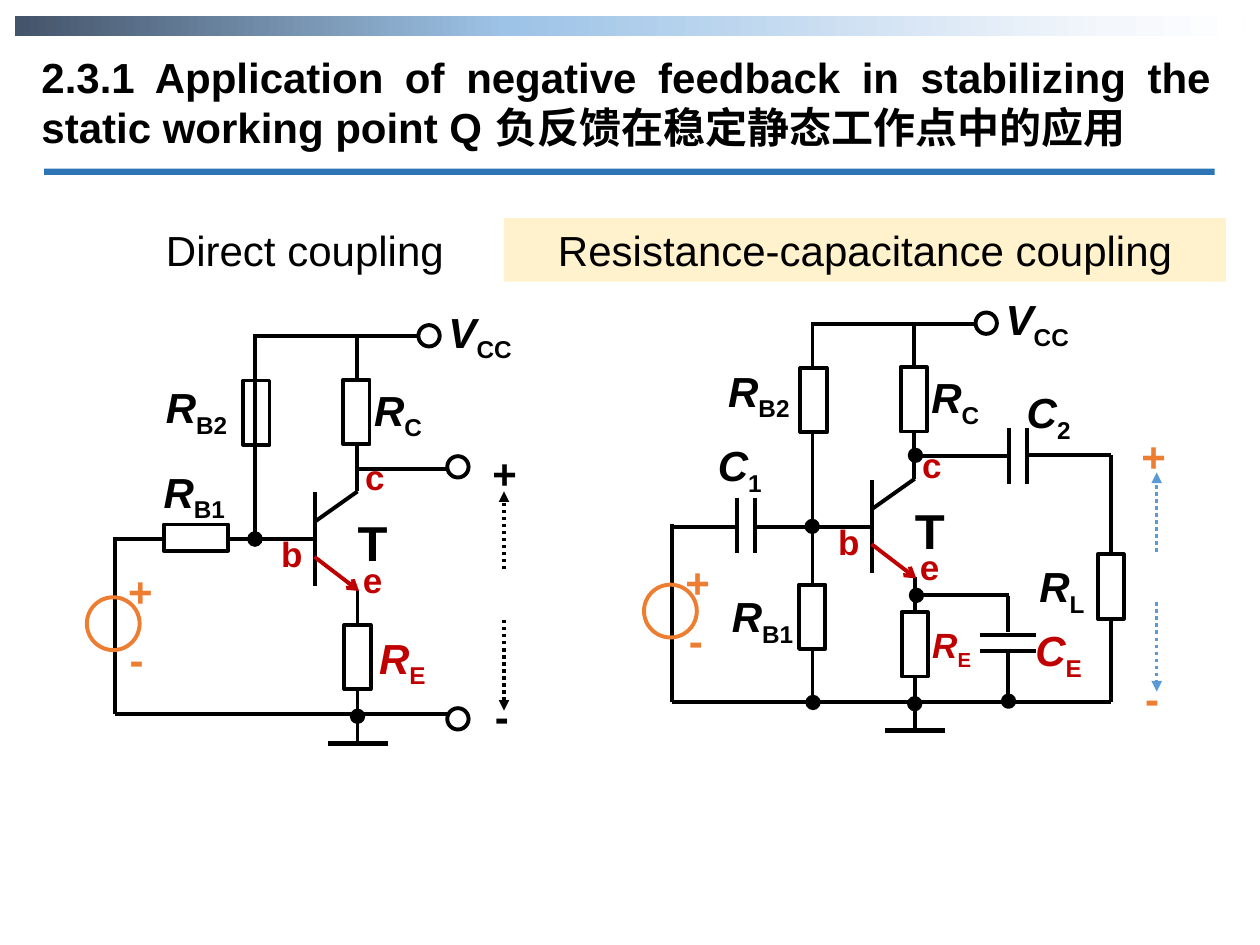
from copy import deepcopy

from lxml.etree import SubElement
from pptx import Presentation
from pptx.dml.color import RGBColor
from pptx.enum.dml import MSO_LINE
from pptx.enum.shapes import MSO_CONNECTOR, MSO_SHAPE
from pptx.enum.text import MSO_ANCHOR, MSO_AUTO_SIZE, PP_ALIGN
from pptx.oxml.ns import qn
from pptx.util import Pt

COLORS = {"black": "000000", "white": "FFFFFF", "red": "C00000", "orange": "ED7D31",
          "blue": "5B9BD5", "rule": "2E75B6", "cream": "FFF2CC"}
BANNER_STOPS = [(0, "44546A"), (40, "9DC3E6"), (89, "F4F7FC"), (100, "FFFFFF")]
HEADING = "2.3.1 Application of negative feedback in stabilizing the static working point Q"
HEADING_CHINESE = "负反馈在稳定静态工作点中的应用"
LATIN, CHINESE = "Arial", "Noto Sans CJK SC"


def color(name):
    """Return the named colour."""
    return RGBColor.from_string(COLORS[name])


def apply(target, values):
    """Set every attribute in values on the target."""
    for name, value in values.items():
        setattr(target, name, value)


def add_run(paragraph, text, size, ink="black", font=LATIN, bold=False, italic=False, baseline=0):
    """Add a formatted run to the paragraph."""
    run = paragraph.add_run()
    run.text = text
    apply(run.font, {"size": Pt(size), "bold": bold, "italic": italic, "name": font})
    run.font.color.rgb = color(ink)
    properties = run._r.get_or_add_rPr()
    SubElement(properties, qn("a:ea")).set("typeface", font)
    if baseline:
        properties.set("baseline", str(baseline))


def add_text(shapes, box, alignment=PP_ALIGN.LEFT):
    """Add a wrapping text box and return its paragraph."""
    frame = shapes.add_textbox(*map(Pt, box)).text_frame
    apply(frame, {"word_wrap": True, "auto_size": MSO_AUTO_SIZE.SHAPE_TO_FIT_TEXT})
    frame.paragraphs[0].alignment = alignment
    return frame.paragraphs[0]


def add_block(shapes, kind, box, fill=None, outline=None):
    """Add a preset shape with an optional fill and outline."""
    shape = shapes.add_shape(kind, *map(Pt, box))
    shape.shadow.inherit = False
    for format_part, name in ((shape.fill, fill), (shape.line.fill, outline)):
        if name:
            format_part.solid()
            format_part.fore_color.rgb = color(name)
        else:
            format_part.background()
    if outline:
        shape.line.width = Pt(2.25)
    return shape


class Circuit:
    """A group of circuit parts placed relative to an origin."""

    def __init__(self, slide, left, top):
        """Start the group at the given origin."""
        self.shapes = slide.shapes.add_group_shape().shapes
        self.left, self.top = left, top

    def wire(self, x1, y1, x2, y2, ink="black", width=2.25, dash=None, arrow=None):
        """Draw a straight line, with an optional arrowhead at its end."""
        ends = (self.left + x1, self.top + y1, self.left + x2, self.top + y2)
        connector = self.shapes.add_connector(MSO_CONNECTOR.STRAIGHT, *map(Pt, ends))
        connector.line.color.rgb = color(ink)
        connector.line.width = Pt(width)
        if dash:
            connector.line.dash_style = dash
        if arrow:
            SubElement(connector.line._get_or_add_ln(), qn("a:tailEnd")).set("type", arrow)
        SubElement(connector._element.spPr, qn("a:effectLst"))

    def circle(self, x, y, diameter, fill=None, outline="black"):
        """Draw a circle around a centre."""
        box = (self.left + x - diameter / 2, self.top + y - diameter / 2, diameter, diameter)
        add_block(self.shapes, MSO_SHAPE.OVAL, box, fill, outline)

    def resistor(self, x, y, rotation=270):
        """Draw a resistor around a centre."""
        box = (self.left + x - 18.4, self.top + y - 7.5, 36.8, 15)
        shape = add_block(self.shapes, MSO_SHAPE.RECTANGLE, box, "white", "black")
        shape.rotation = rotation

    def label(self, x, y, text, subscript="", ink="black", size=24):
        """Write a symbol, italic when it has a subscript."""
        box = (self.left + x, self.top + y, 57 if subscript else 38, size * 1.2 + 7.2)
        paragraph = add_text(self.shapes, box)
        add_run(paragraph, text, size, ink, bold=True, italic=bool(subscript))
        if subscript:
            add_run(paragraph, subscript, size, ink, bold=True, baseline=-25000)

    def draw(self, wires, resistors, terminals, nodes, labels):
        """Draw the listed parts from back to front."""
        for wire in wires:
            self.wire(*wire)
        for resistor in resistors:
            self.resistor(*resistor)
        for x, y in terminals:
            self.circle(x, y, 12.2, "white")
        for x, y in nodes:
            self.circle(x, y, 6.5, "black")
        for label in labels:
            self.label(*label)


def add_amplifier(slide, left, top):
    """Draw the transistor stage that both couplings share."""
    circuit = Circuit(slide, left, top)
    circuit.draw(
        wires=[(130.2, 110, 130.2, 163.4), (130.2, 126.7, 154.6, 109.4),
               (154.4, 109.4, 154.4, 20), (154.6, 165.6, 154.6, 253.4),
               (95.8, 20.8, 190, 20.8), (16, 135.3, 16, 236.8),
               (137.5, 253.4, 172, 253.4, "black", 3),
               (130, 146.8, 155.5, 166.3, "red", 2.25, None, "arrow")],
        resistors=[(96.8, 64.4), (154, 64), (154.6, 204)],
        terminals=[(195.5, 20.5)],
        nodes=[(154.6, 237.9), (96, 136.6)],
        labels=[(199.5, 0, "V", "CC"), (157, 44.6, "R", "C"), (147.6, 118, "T", "", "black", 28),
                (103.8, 129.6, "b", "", "red", 20), (150.5, 144, "e", "", "red", 20),
                (151.8, 85.6, "c", "", "red", 20)])
    circuit.circle(15, 185, 30.2, outline="orange")
    return circuit


def add_direct_coupling(slide, left, top):
    """Draw the directly coupled amplifier."""
    dotted = ("black", 2, MSO_LINE.ROUND_DOT, "triangle")
    add_amplifier(slide, left, top).draw(
        wires=[(130.2, 136.8, 16, 136.8), (95.8, 136.8, 95.8, 19.5),
               (208, 236.8, 16, 236.8), (208, 96.4, 154.6, 96.4),
               (238.3, 182.8, 238.3, 234.7, *dotted), (238.3, 154, 238.3, 109.4, *dotted)],
        resistors=[(62.3, 135.8, 0)],
        terminals=[(212, 95.4), (212, 239.4)],
        nodes=[(96, 136.6)],
        labels=[(38, 43.2, "R", "B2"), (36.7, 91.4, "R", "B1"), (159.8, 186.4, "R", "E", "red"),
                (16.5, 148.3, "+", "", "orange"), (17.3, 187.2, "-", "", "orange"),
                (224.6, 80.6, "+"), (226, 219.6, "-")])


def add_capacitor_coupling(slide, left, top):
    """Draw the amplifier coupled through resistors and capacitors."""
    dotted = ("blue", 2, MSO_LINE.ROUND_DOT, "triangle")
    plates = [(x, y, x, y + 31.7) for x, y in
              ((53, 120.2), (63.2, 120.2), (208.6, 80.6), (218.7, 80.6))]
    bypass_plates = [(192, y, 223.7, y) for y in (198.7, 208)]
    add_amplifier(slide, left, top).draw(
        wires=plates + bypass_plates + [
            (130.2, 136.8, 62.5, 136.8), (53, 136.8, 16, 136.8), (96.2, 236.8, 96.2, 82.8),
            (96.2, 46, 96.2, 20), (266.9, 236.8, 16, 236.8), (208.6, 96.4, 154.6, 96.4),
            (266.9, 95.7, 218.7, 95.7), (266.9, 95.7, 266.9, 236.8),
            (208.6, 175.6, 156, 175.6), (208, 197.2, 208, 176.3), (208, 237.5, 208, 208),
            (292.9, 180, 292.9, 231, *dotted), (292.9, 151.2, 292.9, 105.8, *dotted)],
        resistors=[(266.6, 171), (96, 188.2)],
        terminals=[],
        nodes=[(96.5, 237.2), (155.6, 176), (208.2, 236.5), (155, 96)],
        labels=[(40.9, 41, "R", "B2"), (43, 169.9, "R", "B1"), (157.5, 188.6, "R", "E", "red", 20),
                (218.7, 152.6, "R", "L"), (35, 83.5, "C", "1"), (211.5, 53.2, "C", "2"),
                (216.5, 189.3, "C", "E", "red"),
                (16.4, 150.4, "+", "", "orange"), (18.5, 183.6, "-", "", "orange"),
                (277, 78.4, "+", "", "orange"), (279.2, 216.7, "-", "", "orange")])


def add_header(slide, left, top):
    """Place the gradient banner, the bilingual heading and its rule."""
    shapes = slide.shapes
    banner = add_block(shapes, MSO_SHAPE.RECTANGLE, (left, top, 702.7, 11.5))
    banner.fill.gradient()
    banner.fill.gradient_angle = 0
    stop_list = banner._element.spPr.find(".//" + qn("a:gsLst"))
    for _ in BANNER_STOPS[2:]:
        stop_list.append(deepcopy(stop_list[-1]))
    for stop, (percent, shade) in zip(banner.fill.gradient_stops, BANNER_STOPS):
        stop.position = percent / 100
        stop.color.rgb = RGBColor.from_string(shade)
    heading = add_text(shapes, (left + 8, top + 16.6, 682.6, 63.4), PP_ALIGN.JUSTIFY)
    add_run(heading, HEADING, 24, bold=True)
    add_block(shapes, MSO_SHAPE.RECTANGLE, (left + 16.6, top + 87.1, 668.9, 3.6), "rule")
    translation = add_text(shapes, (left + 255.6, top + 45.4, 397.4, 36), PP_ALIGN.CENTER)
    add_run(translation, HEADING_CHINESE, 24, font=CHINESE, bold=True)


def add_coupling_titles(slide, left, top):
    """Place the title above each circuit, the second one highlighted."""
    add_run(add_text(slide.shapes, (left, top, 200, 36), PP_ALIGN.CENTER), "Direct coupling", 24)
    box = (left + 213.8, top, 412.6, 36.4)
    frame = add_block(slide.shapes, MSO_SHAPE.RECTANGLE, box, "cream").text_frame
    apply(frame, {"word_wrap": True, "vertical_anchor": MSO_ANCHOR.MIDDLE})
    frame.paragraphs[0].alignment = PP_ALIGN.CENTER
    add_run(frame.paragraphs[0], "Resistance-capacitance coupling", 24)


def main():
    """Build the slide and save it."""
    presentation = Presentation()
    apply(presentation, {"slide_width": Pt(720), "slide_height": Pt(540)})
    slide = presentation.slides.add_slide(presentation.slide_layouts[6])
    add_header(slide, 8.6, 9.3)
    add_coupling_titles(slide, 74.2, 124.6)
    add_capacitor_coupling(slide, 368.1, 164.2)
    add_direct_coupling(slide, 49.7, 171.4)
    presentation.save("out.pptx")


if __name__ == "__main__":
    main()
